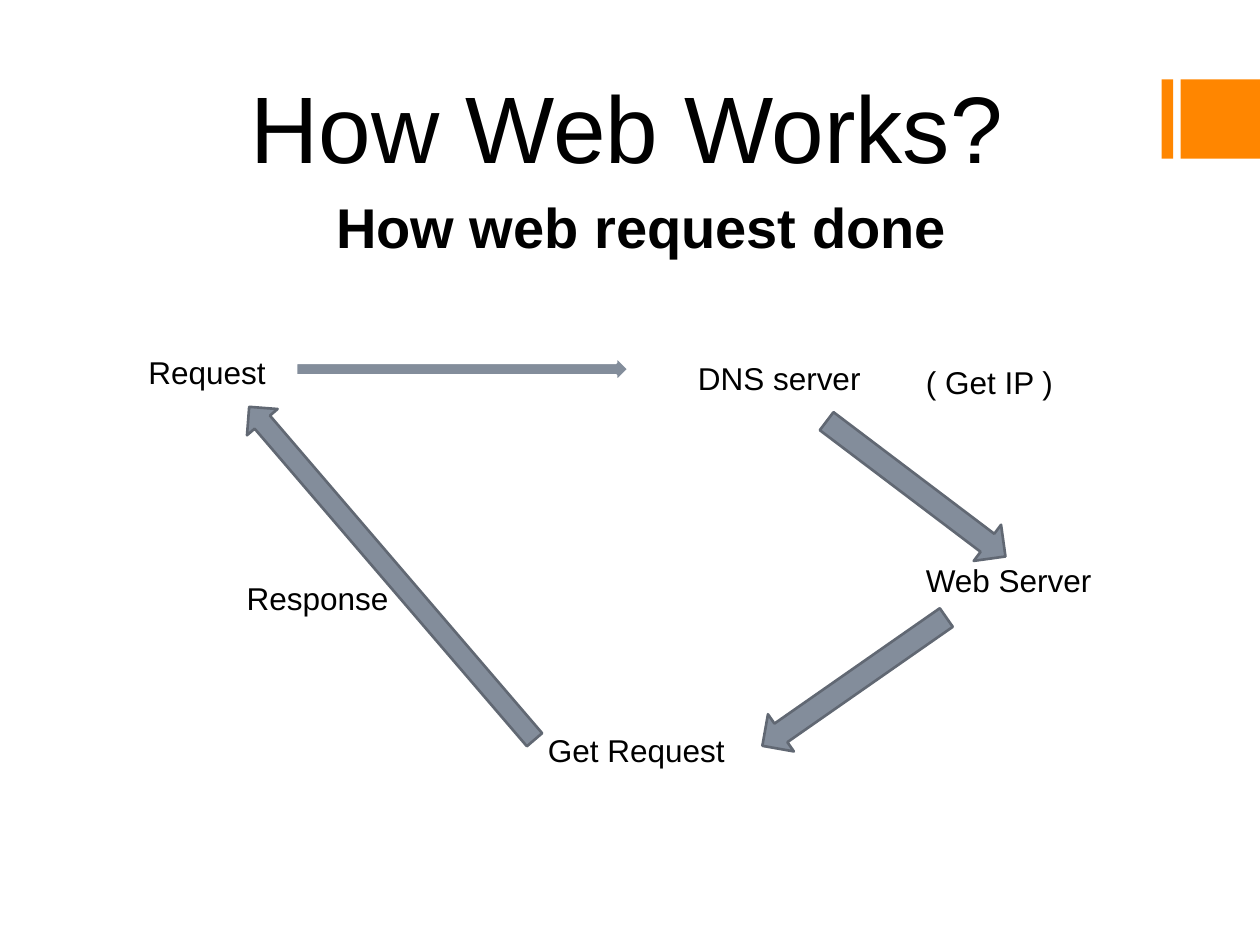
from pptx import Presentation
from pptx.dml.color import RGBColor
from pptx.enum.shapes import MSO_SHAPE
from pptx.enum.text import MSO_ANCHOR, MSO_AUTO_SIZE, PP_ALIGN
from pptx.util import Inches, Pt

COLORS = {
    "accent": "FF8600",
    "arrow": "838D9B",
    "arrow_edge": "616873",
    "text": "000000",
    "white": "FFFFFF",
}
FONT = "Arial"


def color(name):
    return RGBColor.from_string(COLORS[name])


def style_text(shape, text, size, bold=False, align=PP_ALIGN.LEFT):
    frame = shape.text_frame
    frame.text = text
    frame.word_wrap = False
    frame.auto_size = MSO_AUTO_SIZE.SHAPE_TO_FIT_TEXT
    frame.vertical_anchor = MSO_ANCHOR.TOP
    paragraph = frame.paragraphs[0]
    paragraph.alignment = align
    font = paragraph.font
    font.name, font.size, font.bold = FONT, Pt(size), bold
    font.color.rgb = color("text")


def add_label(slide, text, left, top, width, height=0.4, size=18, bold=False):
    label = slide.shapes.add_textbox(
        Inches(left), Inches(top), Inches(width), Inches(height))
    style_text(label, text, size, bold)


def add_filled(slide, preset, left, top, width, height, fill, edge=None):
    shape = slide.shapes.add_shape(
        preset, Inches(left), Inches(top), Inches(width), Inches(height))
    shape.shadow.inherit = False
    shape.fill.solid()
    shape.fill.fore_color.rgb = color(fill)
    if edge:
        shape.line.color.rgb = color(edge)
        shape.line.width = Pt(1.5)
    else:
        shape.line.fill.background()
    return shape


def add_corner_accent(slide, left, top, size):
    """Narrow bar and square at the right edge."""
    for offset, width in ((0, 0.09), (0.15, size)):
        add_filled(slide, MSO_SHAPE.RECTANGLE,
                   left + offset, top, width, size, "accent")


def add_heading(slide, left, top, width):
    """Title with its subtitle below."""
    title = slide.shapes.title
    title.left, title.top = Inches(left), Inches(top)
    title.width, title.height = Inches(width), Inches(1.01)
    style_text(title, "How Web Works?", 54, align=PP_ALIGN.CENTER)
    add_label(slide, "How web request done", left + 0.71, top + 0.98,
              5.36, 0.64, size=32, bold=True)


def add_request_cycle(slide, left, top):
    """Stages of a web request, joined by block arrows."""
    stages = [
        ("Request", 0, 0, 1.14),
        ("DNS server", 4.36, 0.05, 1.51),
        ("( Get IP )", 6.17, 0.08, 1.22),
        ("Web Server", 6.17, 1.65, 1.53),
        ("Get Request", 3.17, 3, 1.62),
        ("Response", 0.78, 1.8, 1.34),
    ]
    for text, x, y, width in stages:
        add_label(slide, text, left + x, top + y, width)

    arrows = [
        (1.27, 0.08, 2.64, 0.2, 0, "white"),            # request to DNS
        (5.3, 0.95, 1.78, 0.36, 37.1, "arrow_edge"),    # DNS to web server
        (4.81, 2.48, 1.78, 0.36, 145.1, "arrow_edge"),  # server to get request
        (0.29, 1.64, 3.48, 0.32, 229.4, "arrow_edge"),  # response to request
    ]
    for x, y, length, thickness, angle, edge in arrows:
        arrow = add_filled(slide, MSO_SHAPE.RIGHT_ARROW, left + x, top + y,
                           length, thickness, "arrow", edge)
        arrow.rotation = angle


def main():
    prs = Presentation()
    prs.slide_width, prs.slide_height = Inches(10), Inches(7.5)
    slide = prs.slides.add_slide(prs.slide_layouts[5])
    slide.background.fill.solid()
    slide.background.fill.fore_color.rgb = color("white")
    add_corner_accent(slide, 9.22, 0.63, 0.63)
    add_heading(slide, 1.86, 0.5, 6.23)
    add_request_cycle(slide, 1.08, 2.75)
    prs.save("out.pptx")


if __name__ == "__main__":
    main()
